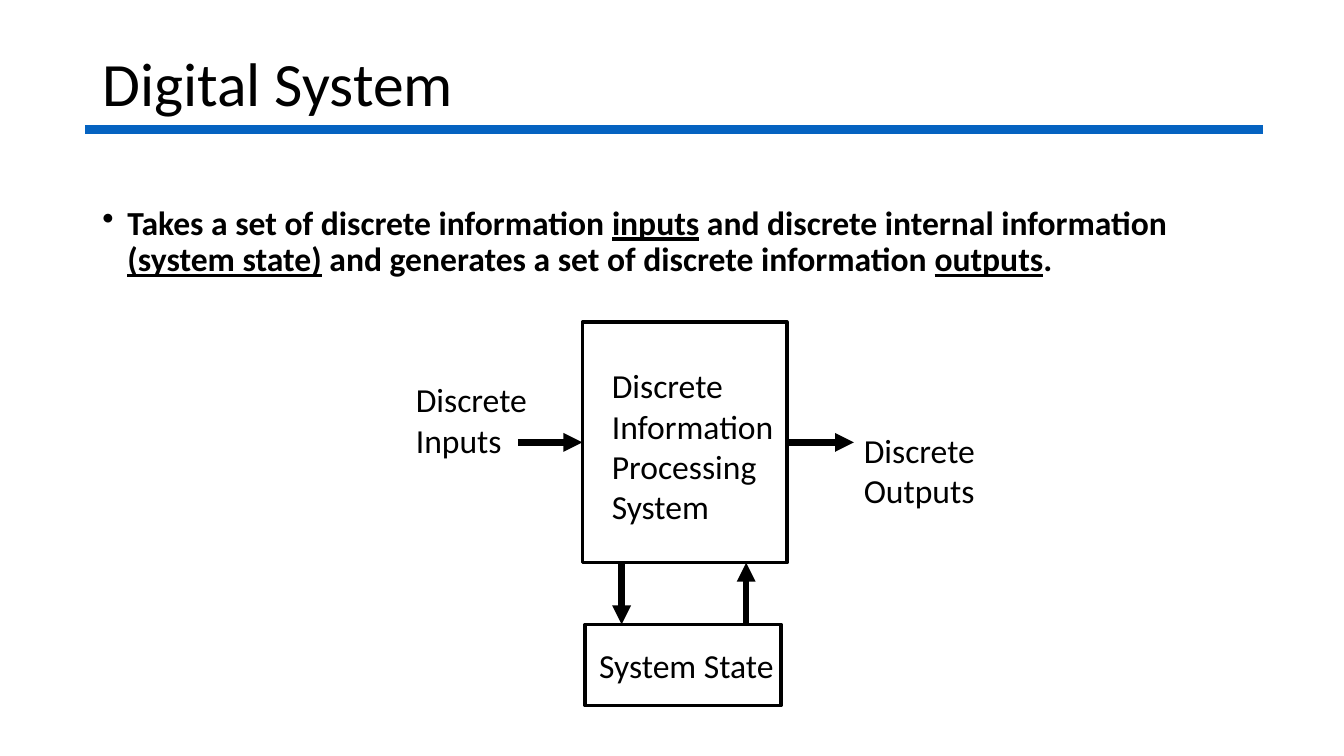
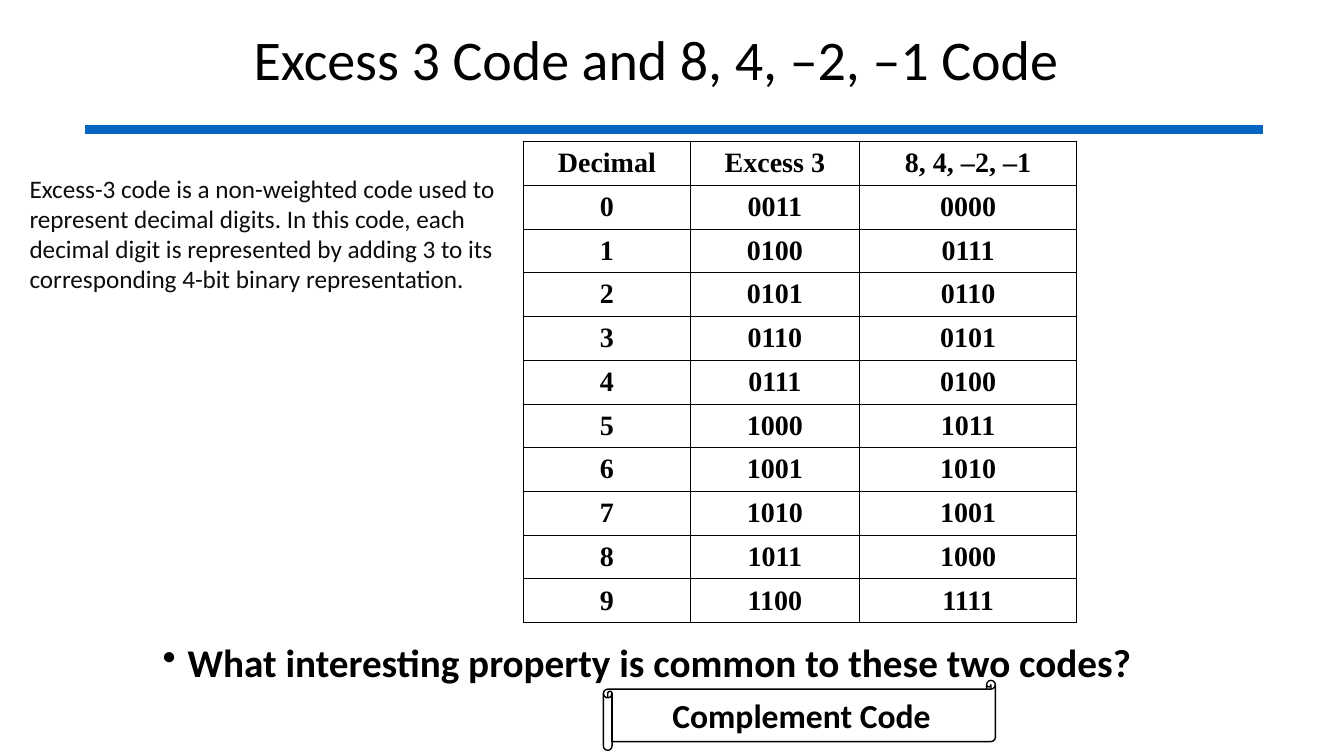
from dataclasses import dataclass

from lxml import etree
from pptx import Presentation
from pptx.dml.color import RGBColor
from pptx.enum.shapes import MSO_CONNECTOR, MSO_SHAPE
from pptx.enum.text import MSO_ANCHOR, PP_ALIGN
from pptx.oxml.ns import qn
from pptx.util import Pt

STRAIGHT = MSO_CONNECTOR.STRAIGHT
RECTANGLE, SCROLL = MSO_SHAPE.RECTANGLE, MSO_SHAPE.HORIZONTAL_SCROLL
TOP, MIDDLE = MSO_ANCHOR.TOP, MSO_ANCHOR.MIDDLE
LEFT, CENTER = PP_ALIGN.LEFT, PP_ALIGN.CENTER
LEFT_SIDE, RIGHT_SIDE = 1, 3
BLANK_LAYOUT = 6


@dataclass(frozen=True)
class Theme:
    ink: RGBColor = RGBColor(0, 0, 0)
    soft_ink: RGBColor = RGBColor(0x0D, 0x0D, 0x0D)
    accent: RGBColor = RGBColor(0x05, 0x63, 0xC1)
    font: str = "Calibri"
    table_font: str = "Times New Roman"
    title_size: float = 44
    long_title_size: float = 40
    question_size: float = 28
    body_size: float = 24
    table_size: float = 20
    note_size: float = 18
    tight: float = 0.9
    rule_width: float = 6
    arrow_width: float = 4.5
    box_width: float = 2.5
    scroll_width: float = 1
    outer_border: float = 1.08
    inner_border: float = 0.45


THEME = Theme()
DEFAULT_INSETS = (7.2, 3.6, 7.2, 3.6)
NO_INSETS = (0, 0, 0, 0)

CODES = [
    ("Decimal", "Excess 3", "8, 4, –2, –1"),
    ("0", "0011", "0000"),
    ("1", "0100", "0111"),
    ("2", "0101", "0110"),
    ("3", "0110", "0101"),
    ("4", "0111", "0100"),
    ("5", "1000", "1011"),
    ("6", "1001", "1010"),
    ("7", "1010", "1001"),
    ("8", "1011", "1000"),
    ("9", "1100", "1111"),
]


def points(values):
    return [Pt(value) for value in values]


def set_font(paragraph, size, bold=False, color=THEME.ink, name=THEME.font):
    font = paragraph.font
    font.name, font.size, font.bold = name, Pt(size), bold
    font.color.rgb = color


def set_frame(frame, insets=DEFAULT_INSETS, anchor=TOP):
    frame.word_wrap = True
    frame.vertical_anchor = anchor
    (frame.margin_left, frame.margin_top,
     frame.margin_right, frame.margin_bottom) = points(insets)


def write_lines(frame, lines, size, align=LEFT, **font):
    for index, line in enumerate(lines):
        paragraph = frame.add_paragraph() if index else frame.paragraphs[0]
        paragraph.text = line
        paragraph.alignment = align
        set_font(paragraph, size, **font)


def add_text(slide, box, lines, size, insets=DEFAULT_INSETS, anchor=TOP, **font):
    frame = slide.shapes.add_textbox(*points(box)).text_frame
    set_frame(frame, insets, anchor)
    write_lines(frame, lines, size, **font)
    return frame


def add_bullet(slide, box, pieces, size):
    """Add one bold bullet from (text, underlined) pieces."""
    frame = slide.shapes.add_textbox(*points(box)).text_frame
    set_frame(frame)
    paragraph = frame.paragraphs[0]
    properties = paragraph._p.get_or_add_pPr()
    properties.set("marL", str(Pt(18)))
    properties.set("indent", str(-Pt(18)))
    etree.SubElement(properties, qn("a:buChar")).set("char", "•")
    paragraph.line_spacing = THEME.tight
    set_font(paragraph, size, bold=True)
    for text, underlined in pieces:
        run = paragraph.add_run()
        run.text = text
        if underlined:
            run.font.underline = True


def add_outlined(slide, kind, box, lines, line_width, insets=DEFAULT_INSETS,
                 anchor=TOP, **font):
    shape = slide.shapes.add_shape(kind, *points(box))
    shape.shadow.inherit = False
    shape.fill.background()
    shape.line.color.rgb = THEME.ink
    shape.line.width = Pt(line_width)
    set_frame(shape.text_frame, insets, anchor)
    write_lines(shape.text_frame, lines, THEME.body_size, **font)
    return shape


def add_line(slide, start, end, color, width):
    line = slide.shapes.add_connector(STRAIGHT, *points(start + end))
    line.line.color.rgb = color
    line.line.width = Pt(width)
    etree.SubElement(line._element.spPr, qn("a:effectLst"))
    return line


def add_arrow(slide, start, end):
    arrow = add_line(slide, start, end, THEME.ink, THEME.arrow_width)
    outline = arrow.line._get_or_add_ln()
    etree.SubElement(outline, qn("a:tailEnd")).set("type", "triangle")
    return arrow


def set_border(cell, side, width):
    properties = cell._tc.get_or_add_tcPr()
    border = etree.SubElement(properties, qn(f"a:ln{side}"), w=str(Pt(width)))
    fill = etree.SubElement(border, qn("a:solidFill"))
    etree.SubElement(fill, qn("a:srgbClr"), val=str(THEME.ink))


def add_grid(slide, left, top, column_widths, row_height, rows):
    """Add a plain table with a heavier outer border."""
    last_row, last_column = len(rows) - 1, len(column_widths) - 1
    box = (left, top, sum(column_widths), row_height * len(rows))
    table = slide.shapes.add_table(
        len(rows), len(column_widths), *points(box)).table
    table.first_row = table.horz_banding = False
    for column, width in zip(table.columns, column_widths):
        column.width = Pt(width)
    for row_index, values in enumerate(rows):
        table.rows[row_index].height = Pt(row_height)
        for column_index, value in enumerate(values):
            cell = table.cell(row_index, column_index)
            outer_sides = {
                "L": column_index == 0,
                "R": column_index == last_column,
                "T": row_index == 0,
                "B": row_index == last_row,
            }
            for side, outer in outer_sides.items():
                set_border(cell, side,
                           THEME.outer_border if outer else THEME.inner_border)
            cell.fill.background()
            cell.vertical_anchor = MIDDLE
            write_lines(cell.text_frame, [value], THEME.table_size, CENTER,
                        bold=True, name=THEME.table_font)


def add_titled_slide(presentation, title, box, size):
    slide = presentation.slides.add_slide(
        presentation.slide_layouts[BLANK_LAYOUT])
    add_line(slide, (61, 92.5), (902, 92.5), THEME.accent, THEME.rule_width)
    frame = add_text(slide, box, [title], size, anchor=MIDDLE)
    frame.paragraphs[0].line_spacing = THEME.tight
    return slide


def build_digital_system(presentation):
    slide = add_titled_slide(presentation, "Digital System",
                             (66, 29, 828, 65), THEME.title_size)
    add_bullet(slide, (66, 144, 828, 66), [
        ("Takes a set of discrete information ", False),
        ("inputs", True),
        (" and discrete internal information ", False),
        ("(system state)", True),
        (" and generates a set of discrete information ", False),
        ("outputs", True),
        (".", False),
    ], THEME.body_size)

    processing = add_outlined(
        slide, RECTANGLE, (416, 230, 146, 172),
        ["Discrete", "Information", "Processing", "System"],
        THEME.box_width, insets=(21, 31, 0, 0))
    add_outlined(slide, RECTANGLE, (418, 446, 140, 58), ["System State"],
                 THEME.box_width, insets=(10, 15, 0, 0))
    add_text(slide, (297, 271, 85, 58), ["Discrete", "Inputs"],
             THEME.body_size, NO_INSETS)
    add_text(slide, (617, 307, 85, 58), ["Discrete", "Outputs"],
             THEME.body_size, NO_INSETS)

    add_arrow(slide, (370, 316), (416, 316)).end_connect(processing, LEFT_SIDE)
    add_arrow(slide, (562, 316), (610, 316)).begin_connect(
        processing, RIGHT_SIDE)
    add_arrow(slide, (444, 402), (444, 446))
    add_arrow(slide, (533, 446), (533, 402))


def build_codes(presentation):
    slide = add_titled_slide(
        presentation, "Excess 3 Code and 8, 4, –2, –1 Code",
        (174, 0, 614, 89), THEME.long_title_size)
    add_bullet(slide, (109, 456, 747, 43), [
        ("What interesting property is common to these two codes?", False),
    ], THEME.question_size)
    add_grid(slide, 374, 101, (119, 121, 155), 31.25, CODES)
    add_text(slide, (14, 120, 348, 96), [
        "Excess-3 code is a non-weighted code used to represent decimal "
        "digits. In this code, each decimal digit is represented by adding 3 "
        "to its corresponding 4-bit binary representation.",
    ], THEME.note_size, color=THEME.soft_ink)
    add_outlined(slide, SCROLL, (431, 486, 280, 50), ["Complement Code"],
                 THEME.scroll_width, anchor=MIDDLE, align=CENTER, bold=True)


def main():
    presentation = Presentation()
    presentation.slide_width, presentation.slide_height = points((960, 540))
    build_digital_system(presentation)
    build_codes(presentation)
    presentation.save("out.pptx")


if __name__ == "__main__":
    main()
